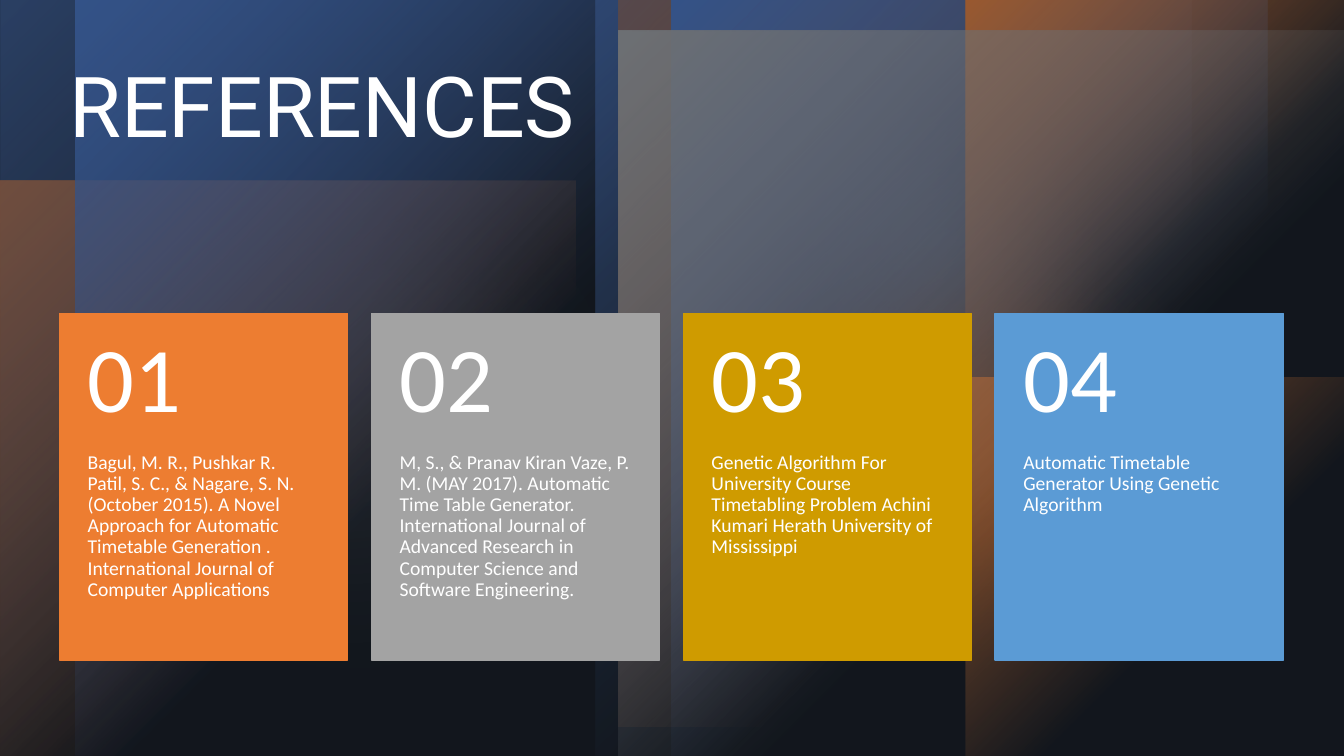
from dataclasses import dataclass

from lxml.etree import SubElement
from pptx import Presentation
from pptx.dml.color import RGBColor
from pptx.enum.shapes import MSO_SHAPE
from pptx.enum.text import MSO_ANCHOR
from pptx.oxml import parse_xml
from pptx.oxml.ns import nsdecls, qn
from pptx.util import Emu, Inches, Pt


@dataclass(frozen=True)
class Theme:
    black: str = "000000"
    white: str = "FFFFFF"
    navy: str = "1D242E"
    orange: str = "ED7D31"
    gray: str = "A3A3A3"
    blue: str = "4472C4"
    gold: str = "CF9B00"
    sky: str = "5B9BD5"
    heading_font: str = "Roboto"
    body_font: str = "Calibri"
    title_size: int = 60
    number_size: int = 66
    body_size: int = 14


THEME = Theme()
PAGE_WIDTH, PAGE_HEIGHT = 13.33, 7.5
SOFT_EDGE = Inches(1.39)

# Each glow: left, top, width, height, rotation, flips, colour, opacity
BACK_GLOWS_LOW = [(0, 1.8, 5.71, 5.71, 0, "V", THEME.orange, 60)]
BACK_GLOWS_HIGH = [
    (0, 0, 5.91, 7.5, 180, "V", THEME.blue, 100),
    (5.91, 0, 5.91, 7.5, 180, "HV", THEME.blue, 100),
    (6.13, 0, 7.21, 7.21, 180, "V", THEME.orange, 100),
]
FRONT_GLOWS_LOW = [(0, 1.79, 5.71, 5.71, 270, "", THEME.orange, 60)]
FRONT_GLOWS_HIGH = [
    (6.66, 0, 5.91, 7.5, 0, "", THEME.blue, 100),
    (0.75, 0, 5.91, 7.5, 0, "H", THEME.blue, 100),
    (9.58, 3.75, 3.75, 3.75, 90, "", THEME.orange, 100),
    (9.58, 0, 3.75, 3.75, 90, "H", THEME.orange, 100),
    (6.13, 0.3, 7.21, 7.21, 180, "", THEME.gray, 100),
]

# Each soft disc: left, top, diameter, colour, opacity
BACK_DISCS = [(6.29, 0.43, 4.72, THEME.gray, 60), (0, 0.56, 6.94, THEME.gray, 20)]
FRONT_DISCS = [(6.98, 0, 4.72, THEME.gray, 96), (6.69, 1.35, 6.02, THEME.orange, 60)]

REFERENCES = [
    (THEME.orange,
     "Bagul, M. R., Pushkar R. Patil, S. C., & Nagare, S. N. (October 2015). "
     "A Novel Approach for Automatic Timetable Generation . "
     "International Journal of Computer Applications"),
    (THEME.gray,
     "M, S., & Pranav Kiran Vaze, P. M. (MAY 2017). Automatic Time Table Generator. "
     "International Journal of Advanced Research in Computer Science and "
     "Software Engineering."),
    (THEME.gold,
     "Genetic Algorithm For University Course Timetabling Problem "
     "Achini Kumari Herath University of Mississippi"),
    (THEME.sky, "Automatic Timetable Generator Using Genetic Algorithm"),
]


def add_plain_shape(page, kind, box, color, opacity=100):
    shape = page.shapes.add_shape(kind, *(Inches(value) for value in box))
    shape.shadow.inherit = False
    shape.line.fill.background()
    shape.fill.solid()
    shape.fill.fore_color.rgb = RGBColor.from_string(color)
    if opacity < 100:
        tint = next(shape.element.spPr.iter(qn("a:srgbClr")))
        SubElement(tint, qn("a:alpha")).set("val", str(opacity * 1000))
    return shape


def add_glow(page, left, top, width, height, rotation, flips, color, opacity):
    """Add a rectangle whose colour fades out radially from one corner."""
    shape = add_plain_shape(page, MSO_SHAPE.RECTANGLE, (left, top, width, height), color)
    shape.rotation = rotation
    properties = shape.element.spPr
    for axis in flips:
        properties.get_or_add_xfrm().set(f"flip{axis}", "1")
    stops = "".join(
        f'<a:gs pos="{position * 1000}"><a:srgbClr val="{color}">'
        f'<a:alpha val="{alpha * 1000}"/></a:srgbClr></a:gs>'
        for position, alpha in ((0, opacity), (60, 0))
    )
    gradient = parse_xml(
        f'<a:gradFill {nsdecls("a")} rotWithShape="1"><a:gsLst>{stops}</a:gsLst>'
        '<a:path path="circle"><a:fillToRect r="100000" b="100000"/></a:path></a:gradFill>'
    )
    properties.replace(properties.find(qn("a:solidFill")), gradient)


def add_soft_disc(page, left, top, diameter, color, opacity):
    box = (left, top, diameter, diameter)
    disc = add_plain_shape(page, MSO_SHAPE.OVAL, box, color, opacity)
    effects = disc.element.spPr.find(qn("a:effectLst"))
    SubElement(effects, qn("a:softEdge")).set("rad", str(Emu(SOFT_EDGE)))


def add_backdrop(page, box):
    """Stack two layers of glows and soft discs, each dimmed by a navy veil."""
    left, top, width, height = box
    layers = [
        (BACK_GLOWS_LOW, BACK_DISCS, BACK_GLOWS_HIGH),
        (FRONT_GLOWS_LOW, FRONT_DISCS, FRONT_GLOWS_HIGH),
    ]
    for low_glows, discs, high_glows in layers:
        for x, y, *look in low_glows:
            add_glow(page, left + x, top + y, *look)
        for x, y, *look in discs:
            add_soft_disc(page, left + x, top + y, *look)
        for x, y, *look in high_glows:
            add_glow(page, left + x, top + y, *look)
        add_plain_shape(page, MSO_SHAPE.RECTANGLE, (left, top, width, height), THEME.navy, 40)


def add_text(page, box, text, size, font, insets, anchor=MSO_ANCHOR.TOP):
    frame = page.shapes.add_textbox(*(Inches(value) for value in box)).text_frame
    frame.word_wrap = True
    frame.vertical_anchor = anchor
    (frame.margin_left, frame.margin_top,
     frame.margin_right, frame.margin_bottom) = (Inches(value) for value in insets)
    para = frame.paragraphs[0]
    para.line_spacing = 0.9
    span = para.add_run()
    span.text = text
    span.font.size = Pt(size)
    span.font.name = font
    span.font.color.rgb = RGBColor.from_string(THEME.white)


def add_card(page, box, number, color, citation):
    left, top, width, height = box
    number_height = 0.4 * height
    card = add_plain_shape(page, MSO_SHAPE.RECTANGLE, box, color)
    card.line.color.rgb = RGBColor.from_string(color)
    card.line.width = Pt(1)
    add_text(page, (left, top + number_height, width, height - number_height), citation,
             THEME.body_size, THEME.body_font, (0.28, 0, 0.28, 0.36))
    add_text(page, (left, top, width, number_height), f"{number:02}",
             THEME.number_size, THEME.body_font, (0.28, 0.18, 0.28, 0.18),
             MSO_ANCHOR.MIDDLE)


def add_card_row(page, box):
    left, top, width, height = box
    card_width = 2.86
    pitch = (width - card_width) / (len(REFERENCES) - 1)
    for index, (color, citation) in enumerate(REFERENCES):
        card_box = (left + index * pitch, top, card_width, height)
        add_card(page, card_box, index + 1, color, citation)


def main():
    deck = Presentation()
    deck.slide_width, deck.slide_height = Inches(PAGE_WIDTH), Inches(PAGE_HEIGHT)
    page = deck.slides.add_slide(deck.slide_layouts[6])
    page.background.fill.solid()
    page.background.fill.fore_color.rgb = RGBColor.from_string(THEME.black)
    add_backdrop(page, (0, 0, PAGE_WIDTH, PAGE_HEIGHT))
    add_text(page, (0.59, 0.59, 12.14, 1.98), "REFERENCES", THEME.title_size,
             THEME.heading_font, (0.1, 0.05, 0.1, 0.05))
    add_card_row(page, (0.59, 3.11, 12.14, 3.44))
    deck.save("out.pptx")


if __name__ == "__main__":
    main()
